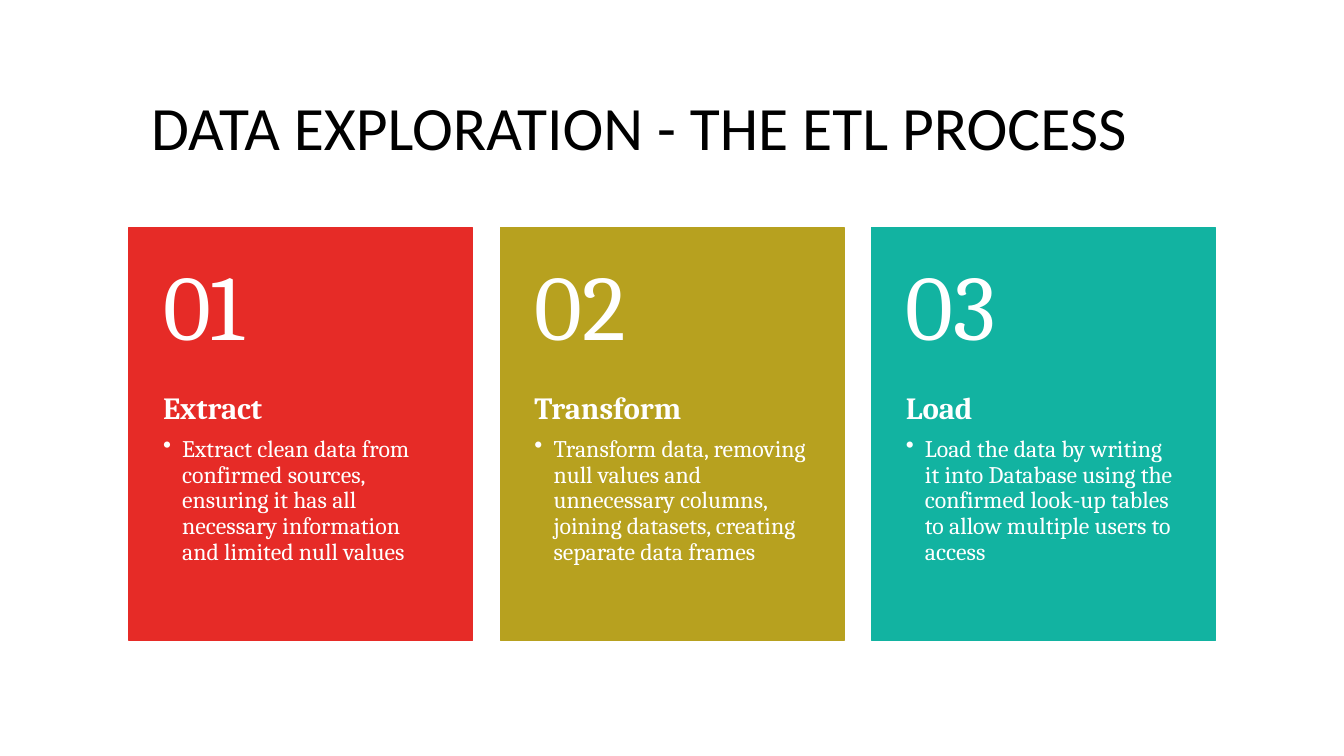
"""Build the slide on the three steps of the ETL process."""
from dataclasses import dataclass

from lxml import etree
from pptx import Presentation
from pptx.dml.color import RGBColor
from pptx.enum.shapes import MSO_SHAPE
from pptx.enum.text import MSO_ANCHOR, MSO_AUTO_SIZE, PP_ALIGN
from pptx.oxml.ns import qn
from pptx.slide import Slide
from pptx.text.text import TextFrame, _Paragraph
from pptx.util import Cm, Length, Pt

RECTANGLE = MSO_SHAPE.RECTANGLE
TOP, MIDDLE, BOTTOM = MSO_ANCHOR.TOP, MSO_ANCHOR.MIDDLE, MSO_ANCHOR.BOTTOM
NO_AUTOFIT = MSO_AUTO_SIZE.NONE
LEFT = PP_ALIGN.LEFT

BLACK = RGBColor(0x00, 0x00, 0x00)
WHITE = RGBColor(0xFF, 0xFF, 0xFF)
RED = RGBColor(0xE6, 0x2B, 0x27)
OLIVE = RGBColor(0xB7, 0xA1, 0x1F)
TEAL = RGBColor(0x12, 0xB3, 0xA1)

CARD_LEFT, CARD_TOP = Cm(3.25), Cm(5.74)
CARD_WIDTH, CARD_HEIGHT = Cm(8.66), Cm(10.4)
CARD_PITCH = Cm(9.36)
NUMBER_HEIGHT = Cm(4.16)
SIDE_INSET = Cm(0.86)
NUMBER_INSET = Cm(0.46)
BODY_BOTTOM_INSET = Cm(0.91)
BULLET_INDENT = Cm(0.48)


@dataclass(frozen=True)
class Step:
    """One step of the process, shown as a card."""

    name: str
    description: str
    color: RGBColor


STEPS = (
    Step("Extract",
         "Extract clean data from confirmed sources, ensuring it has all "
         "necessary information and limited null values", RED),
    Step("Transform",
         "Transform data, removing null values and unnecessary columns, "
         "joining datasets, creating separate data frames", OLIVE),
    Step("Load",
         "Load the data by writing it into Database using the confirmed "
         "look-up tables to allow multiple users to access", TEAL),
)


def format_frame(frame: TextFrame, anchor: MSO_ANCHOR, side: Length = Cm(0),
                 top: Length = Cm(0), bottom: Length = Cm(0)) -> None:
    """Set the wrapping, anchor and insets of a text frame."""
    settings = {
        "word_wrap": True, "auto_size": NO_AUTOFIT, "vertical_anchor": anchor,
        "margin_left": side, "margin_right": side,
        "margin_top": top, "margin_bottom": bottom,
    }
    for attribute, value in settings.items():
        setattr(frame, attribute, value)


def write(paragraph: _Paragraph, text: str, size: float, font: str = "Cambria",
          color: RGBColor = WHITE, bold: bool = False) -> None:
    """Fill a paragraph with one formatted run."""
    paragraph.alignment = LEFT
    paragraph.line_spacing = 0.9
    run = paragraph.add_run()
    run.text = text
    for attribute, value in {"name": font, "size": Pt(size), "bold": bold}.items():
        setattr(run.font, attribute, value)
    run.font.color.rgb = color


def add_bullet(paragraph: _Paragraph) -> None:
    """Give a paragraph a white bullet and a hanging indent."""
    properties = paragraph._p.get_or_add_pPr()
    properties.set("marL", str(BULLET_INDENT))
    properties.set("indent", str(-BULLET_INDENT))
    bullet_color = etree.SubElement(properties, qn("a:buClr"))
    etree.SubElement(bullet_color, qn("a:srgbClr"), val=str(WHITE))
    etree.SubElement(properties, qn("a:buChar"), char="•")


def add_title(slide: Slide, text: str) -> None:
    """Place and fill the title placeholder."""
    title = slide.shapes.title
    place = {"left": Cm(3.81), "top": Cm(1.32), "width": Cm(26.24), "height": Cm(2.8)}
    for attribute, value in place.items():
        setattr(title, attribute, value)
    format_frame(title.text_frame, BOTTOM)
    write(title.text_frame.paragraphs[0], text, 44, "Calibri", BLACK)


def add_card(slide: Slide, index: int, step: Step) -> None:
    """Draw the card of a step with its number, name and description."""
    left = CARD_LEFT + index * CARD_PITCH
    card = slide.shapes.add_shape(RECTANGLE, left, CARD_TOP, CARD_WIDTH, CARD_HEIGHT)
    card.shadow.inherit = False
    card.fill.solid()
    card.fill.fore_color.rgb = step.color
    card.line.color.rgb = step.color
    card.line.width = Pt(1)

    body = slide.shapes.add_textbox(left, CARD_TOP + NUMBER_HEIGHT, CARD_WIDTH,
                                    CARD_HEIGHT - NUMBER_HEIGHT).text_frame
    format_frame(body, TOP, SIDE_INSET, bottom=BODY_BOTTOM_INSET)
    write(body.paragraphs[0], step.name, 22, bold=True)
    description = body.add_paragraph()
    description.level = 1
    description.space_before = Pt(7.7)
    write(description, step.description, 17)
    add_bullet(description)

    number = slide.shapes.add_textbox(left, CARD_TOP, CARD_WIDTH, NUMBER_HEIGHT).text_frame
    format_frame(number, MIDDLE, SIDE_INSET, NUMBER_INSET, NUMBER_INSET)
    write(number.paragraphs[0], f"{index + 1:02d}", 66)


def main() -> None:
    """Create the presentation and save it."""
    presentation = Presentation()
    presentation.slide_width = Cm(33.87)
    presentation.slide_height = Cm(19.05)
    slide = presentation.slides.add_slide(presentation.slide_layouts.get_by_name("Title Only"))
    add_title(slide, "DATA EXPLORATION - THE ETL PROCESS")
    for index, step in enumerate(STEPS):
        add_card(slide, index, step)
    presentation.save("out.pptx")


if __name__ == "__main__":
    main()
